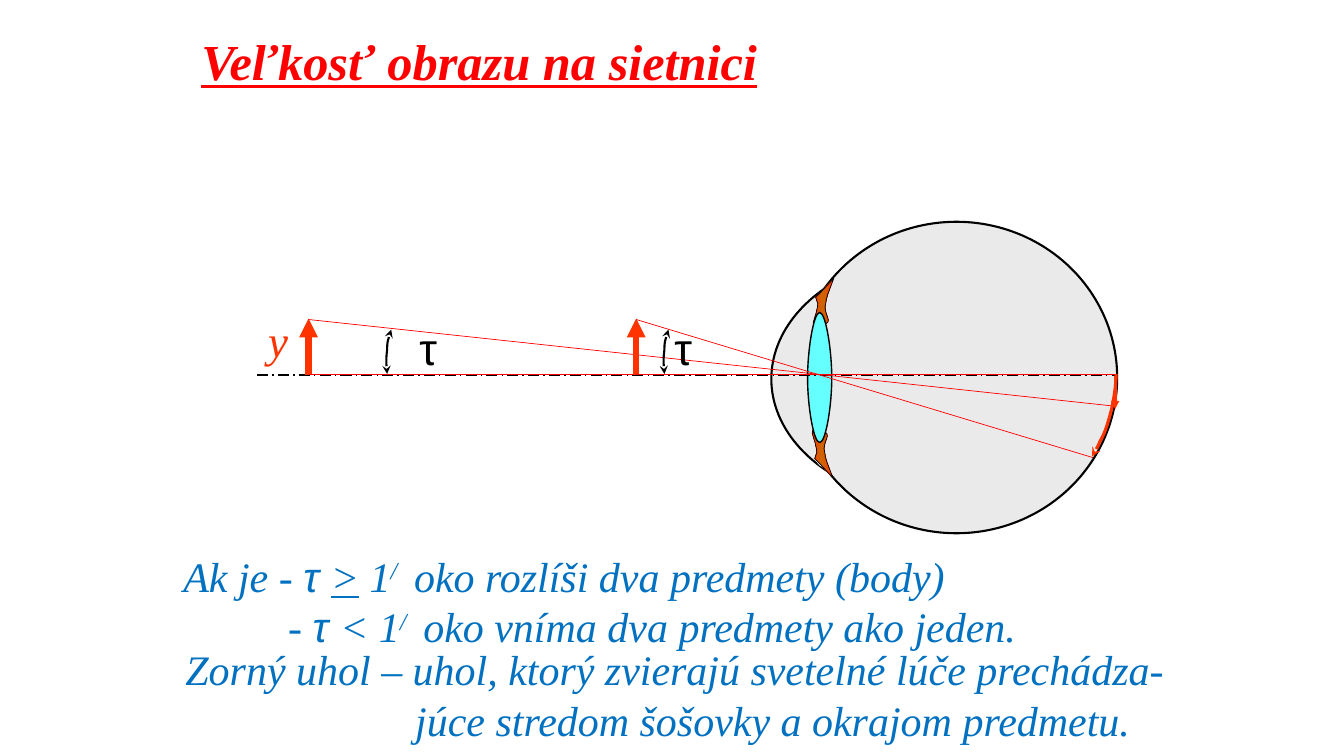
from copy import deepcopy

from pptx import Presentation
from pptx.dml.color import RGBColor
from pptx.enum.dml import MSO_LINE
from pptx.enum.shapes import MSO_CONNECTOR, MSO_SHAPE
from pptx.enum.text import MSO_AUTO_SIZE
from pptx.oxml.ns import qn
from pptx.util import Inches, Pt

COLORS = {
    "black": "000000", "title": "FF0000", "ray": "FF0000", "arrow": "FF3300",
    "note": "0070C0", "eyeball": "EAEAEA", "lens": "66FFFF", "iris": "CC6600",
}
SERIF, SANS = "Times New Roman", "Arial"
AXIS_Y = 3.72
TIP_Y = 3.16
RETINA_X = 11.06


def rgb(name):
    return RGBColor.from_string(COLORS[name])


def style_line(line, color, width, head=None, tail=None):
    line.color.rgb = rgb(color)
    line.width = Pt(width)
    outline = line.color._xFill.getparent()
    for tag, kind in (("a:headEnd", head), ("a:tailEnd", tail)):
        if kind:
            outline.append(outline.makeelement(qn(tag), {"type": kind}))


def add_line(slide, start, end, color, width, tail=None):
    line = slide.shapes.add_connector(
        MSO_CONNECTOR.STRAIGHT, *(Inches(value) for value in start + end))
    properties = line._element.spPr
    style_line(line.line, color, width, tail=tail)
    properties.append(properties.makeelement(qn("a:effectLst"), {}))
    return line


def add_path(slide, left, top, segments, close=False):
    """Draw segments of one point (move or line) or three points (cubic curve)."""
    points = [(Inches(left + segment[i]), Inches(top + segment[i + 1]))
              for segment in segments for i in range(0, len(segment), 2)]
    builder = slide.shapes.build_freeform(*points[0])
    builder.add_line_segments(points[1:], close=close)
    shape = builder.convert_to_shape()
    shape.shadow.inherit = False
    if not close:
        shape.fill.background()

    steps = iter(list(shape._element.iter(qn("a:lnTo"))))
    for segment in segments[1:]:
        step = next(steps)
        if len(segment) == 6:
            curve = step.makeelement(qn("a:cubicBezTo"), {})
            step.addprevious(curve)
            for control in (step, next(steps), next(steps)):
                curve.append(control[0])
                control.getparent().remove(control)
    return shape


def fill_solid(shape, color):
    shape.fill.solid()
    shape.fill.fore_color.rgb = rgb(color)


def fill_iris(shape):
    """Gradient that is darkest in the middle."""
    shape.fill.gradient()
    shape.fill.gradient_angle = 0
    first = shape.fill.gradient_stops[0]._gs
    first.addnext(deepcopy(first))
    for stop, color, position in zip(
            shape.fill.gradient_stops, ("arrow", "iris", "arrow"), (0, 0.5, 1)):
        stop.color.rgb = rgb(color)
        stop.position = position


def add_eye(slide, left, top):
    for x, y, width, height in ((0, 0.33, 3.35, 2.46), (0.24, 0, 3.19, 3.09)):
        ball = slide.shapes.add_shape(
            MSO_SHAPE.OVAL, Inches(left + x), Inches(top + y), Inches(width), Inches(height))
        ball.shadow.inherit = False
        fill_solid(ball, "eyeball")
        style_line(ball.line, "black", 1.5)

    chamber = add_path(slide, left, top, [
        (0.9, 0.62),
        (0.87, 0.31, 0.63, 0.62, 0.52, 0.69), (0.41, 0.76, 0.29, 0.88, 0.24, 1.04),
        (0.18, 1.19, 0.17, 1.44, 0.17, 1.61), (0.17, 1.78, 0.19, 1.9, 0.24, 2.04),
        (0.29, 2.17, 0.4, 2.33, 0.48, 2.42), (0.7, 2.54),
        (0.78, 2.24, 0.93, 0.93, 0.9, 0.62)], close=True)
    fill_solid(chamber, "eyeball")
    chamber.line.fill.background()

    upper_iris = [
        (0.62, 0.56), (0.56, 0.72), (0.55, 0.76, 0.54, 0.78, 0.54, 0.81),
        (0.53, 0.84, 0.53, 0.86, 0.54, 0.89), (0.54, 0.92, 0.58, 0.97, 0.56, 1),
        (0.54, 1.02, 0.44, 1.05, 0.42, 1.03), (0.4, 1.01, 0.45, 0.91, 0.45, 0.88),
        (0.46, 0.84, 0.46, 0.83, 0.46, 0.81), (0.46, 0.79, 0.44, 0.77, 0.44, 0.75),
        (0.5, 0.69)]
    lower_iris = [tuple(3.1 - value if i % 2 else value - 0.01
                        for i, value in enumerate(segment)) for segment in upper_iris]
    for segments in (upper_iris, lower_iris):
        iris = add_path(slide, left, top, segments, close=True)
        fill_iris(iris)
        style_line(iris.line, "black", 0.5)

    lens = add_path(slide, left, top, [
        (0.48, 0.9),
        (0.42, 0.9, 0.36, 1.27, 0.36, 1.55), (0.36, 1.83, 0.42, 2.19, 0.48, 2.19),
        (0.54, 2.19, 0.6, 1.83, 0.6, 1.55), (0.6, 1.27, 0.54, 0.9, 0.48, 0.9)], close=True)
    fill_solid(lens, "lens")
    style_line(lens.line, "black", 1)


def add_viewed_object(slide, x, ray_end, arc_x):
    """Upright arrow with its two rays and the visual angle between them."""
    add_line(slide, (x, AXIS_Y), (x, TIP_Y), "arrow", 4.5, tail="triangle")
    add_line(slide, (x, AXIS_Y - 0.01), (RETINA_X, AXIS_Y - 0.01), "ray", 0.5)
    add_line(slide, (x, TIP_Y + 0.01), ray_end, "ray", 0.5)
    arc = add_path(slide, arc_x, 3.27, [
        (0.05, 0), (0.03, 0.06, 0.01, 0.12, 0.01, 0.2), (0, 0.27, 0, 0.36, 0.01, 0.44)])
    style_line(arc.line, "black", 1.5, head="stealth", tail="stealth")


def add_retina_images(slide):
    add_line(slide, (RETINA_X, 3.73), (RETINA_X, 4.06), "arrow", 2, tail="triangle")
    curve = add_path(slide, 10.83, 3.71, [
        (0.24, 0),
        (0.24, 0.05, 0.23, 0.19, 0.21, 0.27), (0.2, 0.35, 0.17, 0.44, 0.15, 0.51),
        (0.13, 0.57, 0.11, 0.62, 0.08, 0.67), (0.06, 0.72, 0.02, 0.79, 0, 0.82)])
    style_line(curve.line, "arrow", 2.25, tail="stealth")


def add_text(slide, place, paragraphs, size, color, wrap=False, bold=False, italic=True):
    """Each paragraph is (indent, spans); a span is (text, font, extra attributes)."""
    box = slide.shapes.add_textbox(*(Inches(value) for value in place))
    frame = box.text_frame
    frame.word_wrap = wrap
    frame.auto_size = MSO_AUTO_SIZE.SHAPE_TO_FIT_TEXT
    for index, (indent, spans) in enumerate(paragraphs):
        para = frame.add_paragraph() if index else frame.paragraphs[0]
        if indent:
            para._p.get_or_add_pPr().set("marL", str(Inches(indent)))
        for text, font, extra in spans:
            span = para.add_run()
            span.text = text
            span.font.name = font
            span.font.size = Pt(size)
            span.font.bold = bold
            span.font.italic = italic
            span.font.color.rgb = rgb(color)
            for name, value in extra.items():
                span._r.get_or_add_rPr().set(name, value)


def add_notes(slide):
    minute = ("/ ", SERIF, {"baseline": "30000"})
    tau = ("τ ", SANS, {})
    add_text(slide, (1.74, 6.34, 9.97, 1.1), [
        (0, [("Zorný uhol – uhol, ktorý zvierajú svetelné lúče prechádza-", SERIF, {})]),
        (2.28, [("júce stredom šošovky a okrajom predmetu.", SERIF, {})]),
    ], 30, "note")
    add_text(slide, (1.72, 5.41, 8.55, 1.1), [
        (0, [("Ak je - ", SERIF, {}), tau, (">", SERIF, {"u": "sng"}), (" 1", SERIF, {}),
             minute, (" oko rozlíši dva predmety (body)", SERIF, {})]),
        (1.04, [("- ", SERIF, {}), tau, ("< 1", SERIF, {}),
                minute, (" oko vníma dva predmety ako jeden.", SERIF, {})]),
    ], 30, "note")


def build_slide(slide):
    add_text(slide, (1.9, 0.25, 5.91, 0.71),
             [(0, [("Veľkosť obrazu na sietnici", SERIF, {"u": "sng"})])],
             36, "title", bold=True)
    add_eye(slide, 7.65, 2.2)
    axis = add_line(slide, (2.55, AXIS_Y), (11.08, AXIS_Y), "black", 1)
    axis.line.dash_style = MSO_LINE.LONG_DASH_DOT
    add_viewed_object(slide, 3.06, (RETINA_X, 4.03), 3.83)
    add_viewed_object(slide, 6.31, (10.84, 4.54), 6.58)
    add_retina_images(slide)
    add_text(slide, (2.56, 3.05, 0.51, 0.63), [(0, [("y", SERIF, {})])],
             32, "arrow", wrap=True)
    for left in (4.06, 6.59):
        add_text(slide, (left, 3.13, 0.51, 0.63), [(0, [("τ", SANS, {})])],
                 32, "black", wrap=True, italic=False)
    add_notes(slide)


def main():
    deck = Presentation()
    deck.slide_width, deck.slide_height = Inches(13.33), Inches(7.5)
    build_slide(deck.slides.add_slide(deck.slide_layouts[6]))
    deck.save("out.pptx")


if __name__ == "__main__":
    main()
